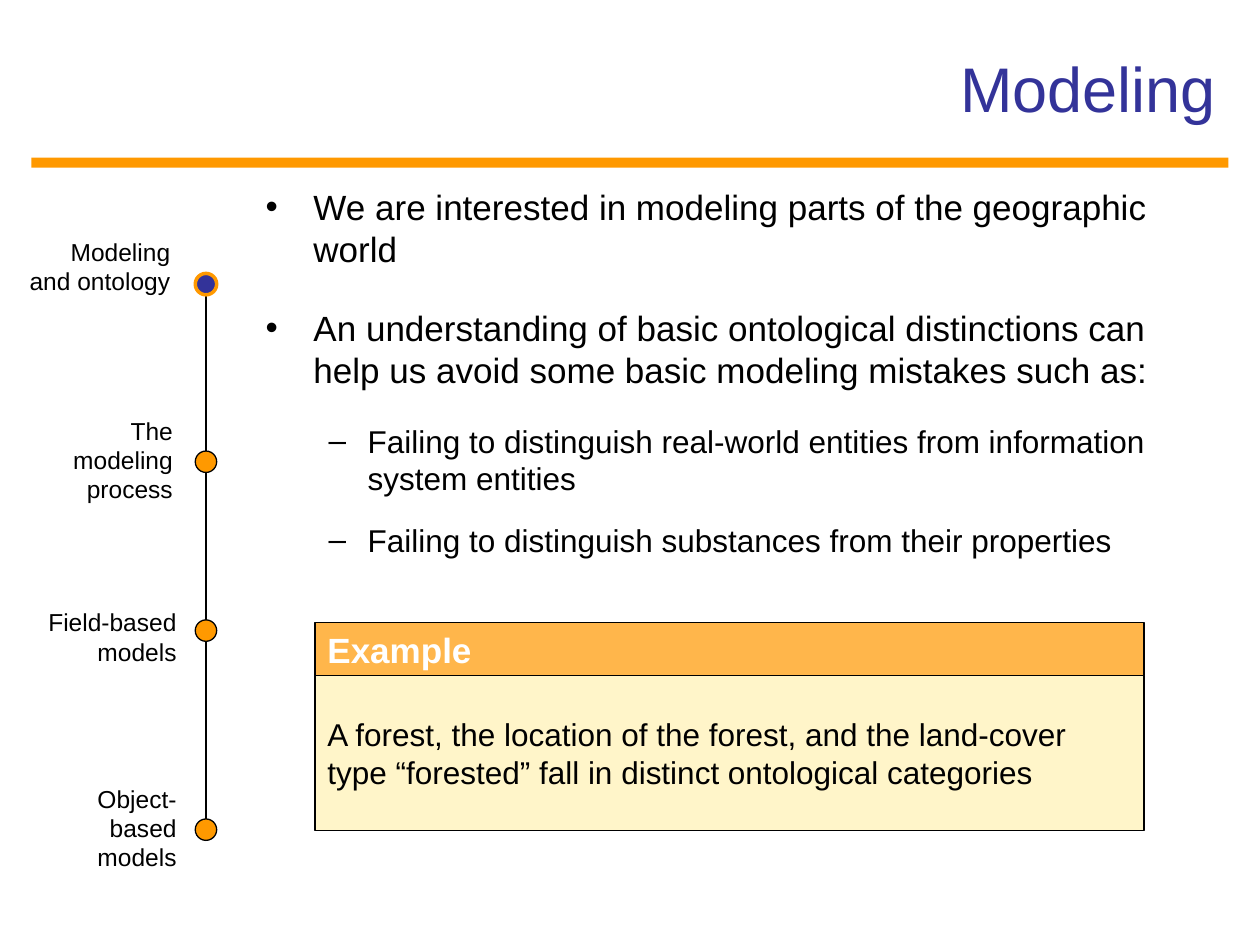
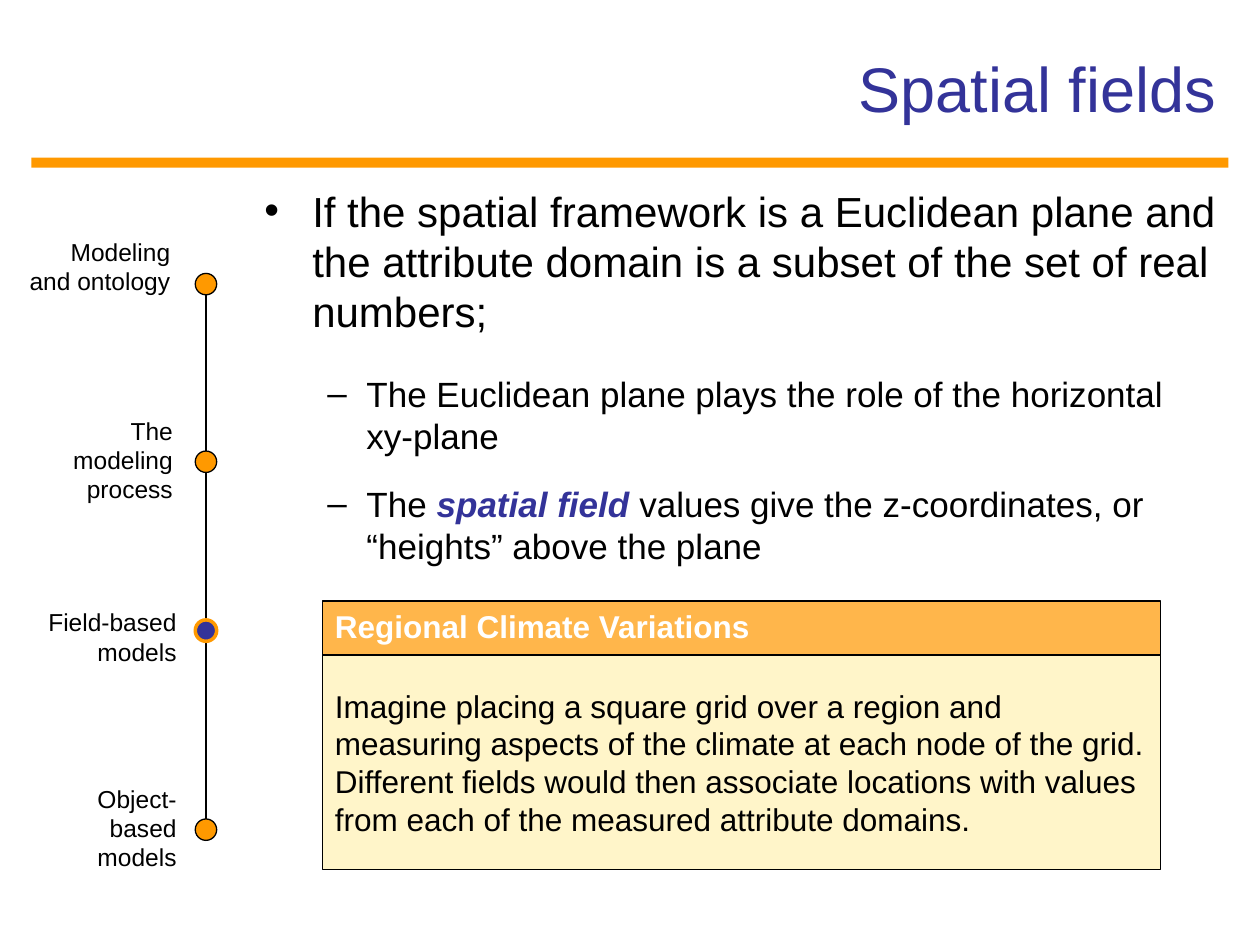
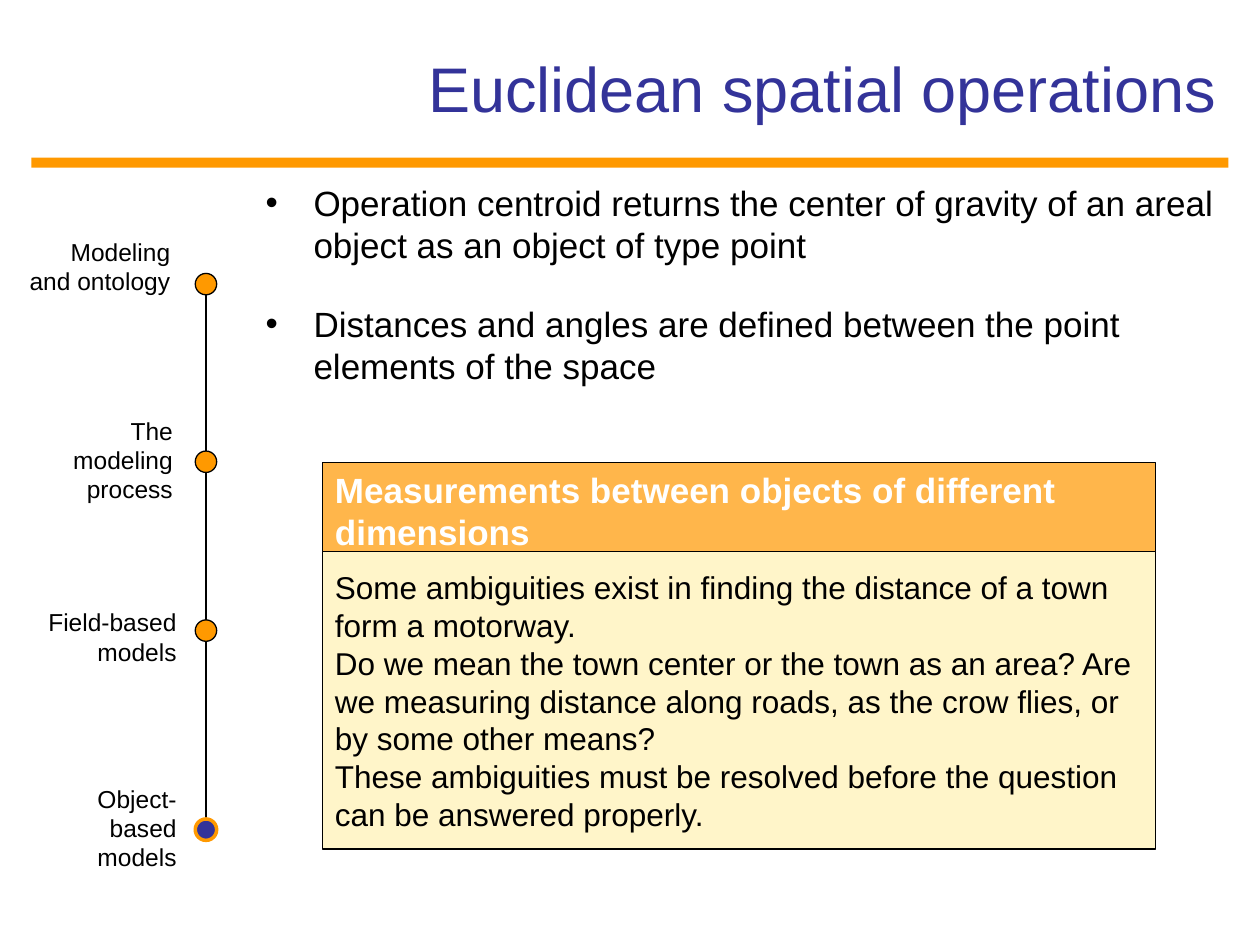
from pptx import Presentation
from pptx.dml.color import RGBColor
from pptx.enum.shapes import MSO_CONNECTOR as CONN, MSO_SHAPE as SHAPE
from pptx.enum.text import MSO_ANCHOR as ANCHOR, PP_ALIGN as ALIGN
from pptx.util import Inches, Pt
from lxml import etree

FONT = "Arial"
BLACK, WHITE, NAVY, ORANGE = "000000", "FFFFFF", "333399", "FF9900"
AMBER, CREAM = "FFB64B", "FFF5C9"
THIN, THICK = 0.74, 2.01

# Chapter timeline: label, label top, width, height, dot top
DOT_X, DOT = 1.55, 0.17
CHAPTERS = [
    ("Modeling and ontology", 1.83, 1.33, 0.57, 2.17),
    ("The modeling process", 3.25, 1.35, 0.80, 3.58),
    ("Field-based models", 4.77, 1.38, 0.57, 4.92),
    ("Object- based models", 6.17, 1.38, 0.80, 6.50),
]

# Per level: bullet, left margin, hanging indent, space before and after
# (the spaces are shares of the text size)
LEVELS = [("\u2022", 0.38, -0.38, 0.625, 0.4375),
          ("\u2013", 0.81, -0.31, 0.5, 0.25)]

# Bullets are (level, text); *stars* enclose a key term
SLIDES = [
    dict(title="Modeling", chapter=0, body=(2.01, 1.42, 7.74, 3.12), sizes=(20, 18),
         bullets=[
             (0, "We are interested in modeling parts of the geographic world"),
             (0, "An understanding of basic ontological distinctions can help us "
                 "avoid some basic modeling mistakes such as:"),
             (1, "Failing to distinguish real-world entities from information "
                 "system entities"),
             (1, "Failing to distinguish substances from their properties")],
         box=(2.5, 4.94, 6.58, 0.42, 1.23), heading="Example", heading_size=20,
         example=["A forest, the location of the forest, and the land-cover type "
                  "\u201cforested\u201d fall in distinct ontological categories"]),
    dict(title="Spatial fields", chapter=2, body=(2, 1.42, 7.75, 3.2), sizes=(24, 20),
         bullets=[
             (0, "If the spatial framework is a Euclidean plane and the attribute "
                 "domain is a subset of the set of real numbers;"),
             (1, "The Euclidean plane plays the role of the horizontal xy-plane"),
             (1, "The *spatial field* values give the z-coordinates, or "
                 "\u201cheights\u201d above the plane")],
         box=(2.56, 4.77, 6.65, 0.43, 1.7), heading="Regional Climate Variations",
         heading_size=18,
         example=["Imagine placing a square grid over a region and measuring aspects "
                  "of the climate at each node of the grid. Different fields would "
                  "then associate locations with values from each of the measured "
                  "attribute domains."]),
    dict(title="Euclidean spatial operations", chapter=3, body=(2.01, 1.39, 7.75, 5.5),
         sizes=(20, 18),
         bullets=[
             (0, "Operation centroid returns the center of gravity of an areal object "
                 "as an object of type point"),
             (0, "Distances and angles are defined between the point elements of "
                 "the space")],
         box=(2.56, 3.67, 6.61, 0.71, 2.36),
         heading="Measurements between objects of different dimensions",
         heading_size=20,
         example=["Some ambiguities exist in finding the distance of a town form a "
                  "motorway.",
                  "Do we mean the town center or the town as an area? Are we measuring "
                  "distance along roads, as the crow flies, or by some other means?",
                  "These ambiguities must be resolved before the question can be "
                  "answered properly."]),
]


def rgb(color):
    return RGBColor.from_string(color)


def sub(parent, tag, **attrs):
    ns = "{http://schemas.openxmlformats.org/drawingml/2006/main}"
    return etree.SubElement(parent, ns + tag, attrs)


def style(r, size, color, bold=False, italic=False):
    f = r.font
    f.name, f.size, f.bold, f.italic = FONT, Pt(size), bold, italic
    f.color.rgb = rgb(color)


def write(sp, lines, size, color, align=ALIGN.LEFT, anchor=ANCHOR.TOP, bold=False):
    tf = sp.text_frame
    tf.word_wrap, tf.vertical_anchor = True, anchor
    tf.text = "\n".join(lines)
    for p in tf.paragraphs:
        p.alignment = align
        for r in p.runs:
            style(r, size, color, bold)


def add_text(slide, at, *args, **kwargs):
    write(slide.shapes.add_textbox(*map(Inches, at)), *args, **kwargs)


def add_shape(slide, kind, at, fill, line=None, width=THIN):
    sp = slide.shapes.add_shape(kind, *map(Inches, at))
    sp.shadow.inherit = False
    sp.fill.solid()
    sp.fill.fore_color.rgb = rgb(fill)
    if line:
        sp.line.color.rgb, sp.line.width = rgb(line), Pt(width)
    else:
        sp.line.fill.background()
    return sp


def add_frame(slide, title, current):
    # Title and rule
    add_shape(slide, SHAPE.RECTANGLE, (0.25, 1.25, 9.5, 0.08), ORANGE)
    add_text(slide, (0.75, 0.22, 9, 0.95), [title], 36, NAVY, ALIGN.RIGHT, ANCHOR.MIDDLE)
    # Timeline with the current chapter marked
    x = Inches(DOT_X + DOT / 2)
    line = slide.shapes.add_connector(CONN.STRAIGHT, x, Inches(2.17), x, Inches(6.58))
    line.line.color.rgb, line.line.width = rgb(BLACK), Pt(THIN)
    sub(line._element.spPr, "effectLst")
    for i, (label, top, width, height, dot_top) in enumerate(CHAPTERS):
        add_text(slide, (0.12, top, width, height), [label], 14, BLACK, ALIGN.RIGHT)
        look = (NAVY, ORANGE, THICK) if i == current else (ORANGE, BLACK, THIN)
        add_shape(slide, SHAPE.OVAL, (DOT_X, dot_top, DOT, DOT), *look)


def add_bullets(slide, at, bullets, sizes):
    tf = slide.shapes.add_textbox(*map(Inches, at)).text_frame
    tf.word_wrap = True
    for i, (level, text) in enumerate(bullets):
        p = tf.add_paragraph() if i else tf.paragraphs[0]
        char, margin, indent, before, after = LEVELS[level]
        size = sizes[level]
        p.level = level
        p.space_before, p.space_after = Pt(size * before), Pt(size * after)
        pPr = p._p.get_or_add_pPr()
        pPr.set("marL", str(Inches(margin)))
        pPr.set("indent", str(Inches(indent)))
        sub(sub(pPr, "buClr"), "srgbClr", val=BLACK)
        sub(pPr, "buFont", typeface=FONT)
        sub(pPr, "buChar", char=char)
        for n, part in enumerate(text.split("*")):
            r = p.add_run()
            r.text = part
            key = n % 2 == 1
            style(r, size, NAVY if key else BLACK, key, key)


def add_example(slide, box, heading, heading_size, lines):
    x, y, width, head_height, height = box
    sp = add_shape(slide, SHAPE.RECTANGLE, (x, y + head_height, width, height), CREAM, BLACK)
    write(sp, lines, 18, BLACK, anchor=ANCHOR.MIDDLE)
    sp = add_shape(slide, SHAPE.RECTANGLE, (x, y, width, head_height), AMBER, BLACK)
    write(sp, [heading], heading_size, WHITE, bold=True)


prs = Presentation()
prs.slide_width, prs.slide_height = Inches(10), Inches(7.5)
for s in SLIDES:
    slide = prs.slides.add_slide(prs.slide_layouts[6])
    add_frame(slide, s["title"], s["chapter"])
    add_bullets(slide, s["body"], s["bullets"], s["sizes"])
    add_example(slide, s["box"], s["heading"], s["heading_size"], s["example"])
prs.save("out.pptx")
